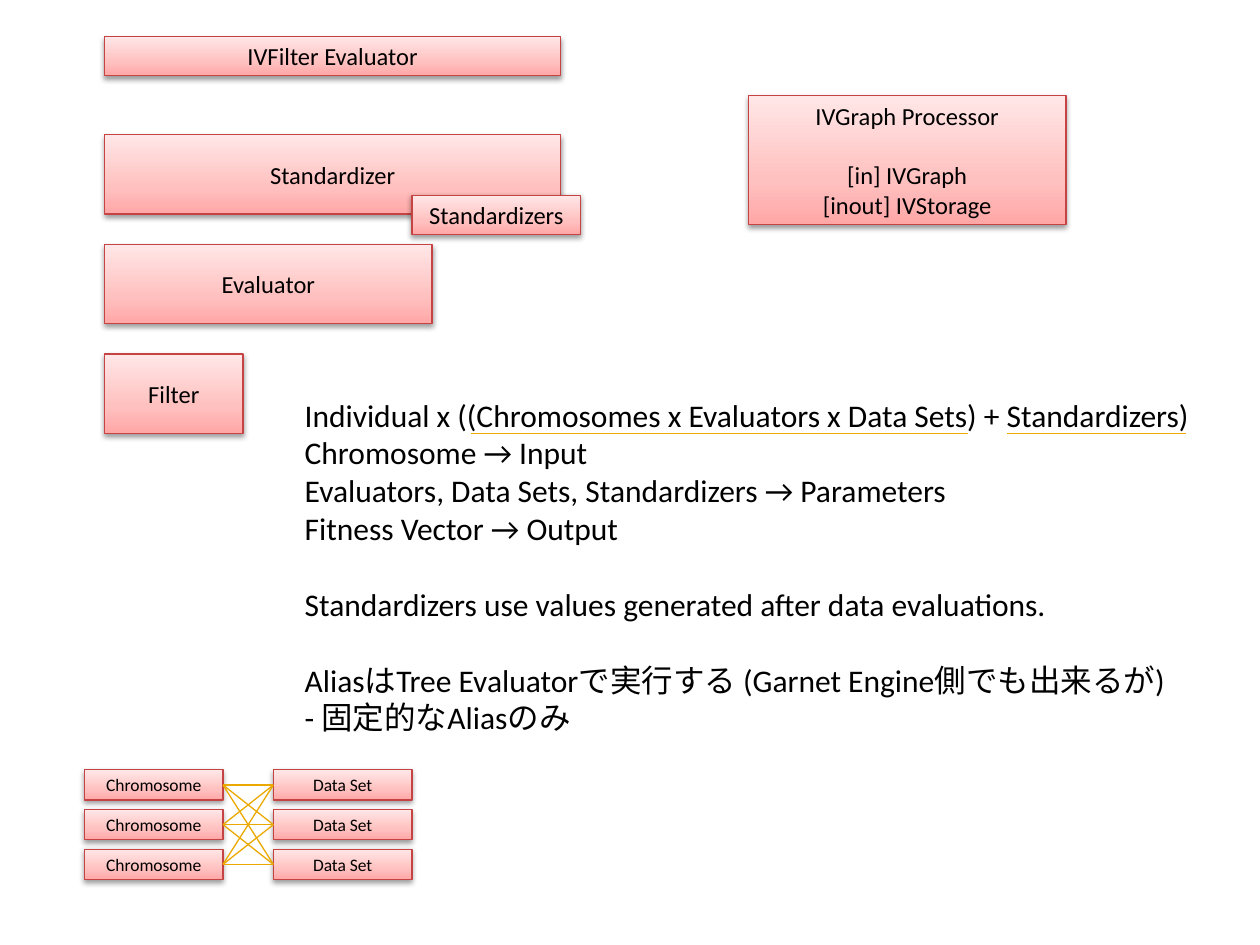
from lxml import etree
from pptx import Presentation
from pptx.dml.color import RGBColor
from pptx.enum import shapes, text
from pptx.oxml import parse_xml
from pptx.oxml.ns import nsdecls, qn
from pptx.util import Inches, Pt

FONT, BLACK, RED, GOLD = "Calibri", "000000", "C54342", "EBA900"
STOPS = [(0, "FFA7A7"), (35, "FFC1C0"), (100, "FFE7E7")]
BOXES = [
    (["IVFilter Evaluator"], 0.83, 0.29, 3.62, 0.31),
    (["Filter"], 0.83, 2.81, 1.1, 0.63),
    (["Evaluator"], 0.83, 1.94, 2.6, 0.63),
    (["Standardizer"], 0.83, 1.07, 3.62, 0.63),
    (["Standardizers"], 3.27, 1.55, 1.34, 0.31),
    (["IVGraph Processor", "[in] IVGraph", "[inout] IVStorage"], 5.94, 0.76, 2.52, 1.02),
]
COLUMNS = [("Chromosome", 0.67), ("Data Set", 2.17)]
ROWS, ROW_TOP, ROW_STEP = 3, 6.11, 0.315
NOTES = [
    "Individual x ((Chromosomes x Evaluators x Data Sets) + Standardizers)",
    "Chromosome → Input",
    "Evaluators, Data Sets, Standardizers → Parameters",
    "Fitness Vector → Output",
    "Standardizers use values generated after data evaluations.",
    "AliasはTree Evaluatorで実行する (Garnet Engine側でも出来るが)",
    "- 固定的なAliasのみ",
]
UNDERLINES = [(3.74, 7.68), (7.99, 9.41)]
UNDERLINE_Y = 3.44


def rgb(color):
    return RGBColor.from_string(color)


def write(tf, lines, size, gaps, gap, align):
    tf.text = "\n".join(lines)
    for i, p in enumerate(tf.paragraphs):
        p.alignment = align
        if i in gaps:
            p.space_before = Pt(gap)
        for r in p.runs:
            r.font.name, r.font.size = FONT, Pt(size)
            r.font.color.rgb = rgb(BLACK)


def add_box(s, lines, x, y, w, h, size=14):
    sp = s.shapes.add_shape(shapes.MSO_SHAPE.RECTANGLE, *map(Inches, (x, y, w, h)))
    stops = "".join(f'<a:gs pos="{pos * 1000}"><a:srgbClr val="{c}"/></a:gs>' for pos, c in STOPS)
    sp._element.spPr.insert(2, parse_xml(
        f'<a:gradFill {nsdecls("a")} rotWithShape="1"><a:gsLst>{stops}</a:gsLst>'
        '<a:lin ang="16200000" scaled="0"/></a:gradFill>'))
    sp.line.color.rgb, sp.line.width = rgb(RED), Pt(0.75)
    sp.shadow.inherit = False
    sp._element.spPr.find(qn("a:effectLst")).append(parse_xml(
        f'<a:outerShdw {nsdecls("a")} blurRad="{Pt(3.1)}" dist="{Pt(1.6)}" dir="5400000" rotWithShape="0">'
        f'<a:srgbClr val="{BLACK}"><a:alpha val="38000"/></a:srgbClr></a:outerShdw>'))
    sp.text_frame.vertical_anchor = text.MSO_ANCHOR.MIDDLE
    write(sp.text_frame, lines, size, {1}, 17, text.PP_ALIGN.CENTER)
    return sp


def add_line(s, x1=0, y1=0, x2=0, y2=0):
    line = s.shapes.add_connector(shapes.MSO_CONNECTOR.STRAIGHT, *map(Inches, (x1, y1, x2, y2)))
    line.line.color.rgb, line.line.width = rgb(GOLD), Pt(0.75)
    etree.SubElement(line._element.spPr, qn("a:effectLst"))
    return line


def main():
    prs = Presentation()
    prs.slide_width, prs.slide_height = Inches(10), Inches(7.5)
    s = prs.slides.add_slide(prs.slide_layouts[6])

    tb = s.shapes.add_textbox(*map(Inches, (2.32, 3.09, 7.3, 2.83)))
    tb.text_frame.word_wrap = True
    write(tb.text_frame, NOTES, 18, {4, 5}, 21.7, text.PP_ALIGN.LEFT)

    for lines, *place in BOXES:
        add_box(s, lines, *place)

    chromosomes, data_sets = [
        [add_box(s, [name], x, ROW_TOP + i * ROW_STEP, 1.1, 0.24, 10) for i in range(ROWS)]
        for name, x in COLUMNS]
    for chromosome in chromosomes:
        for data_set in data_sets:
            link = add_line(s)
            link.begin_connect(chromosome, 3)
            link.end_connect(data_set, 1)

    for x1, x2 in UNDERLINES:
        add_line(s, x1, UNDERLINE_Y, x2, UNDERLINE_Y)

    prs.save("out.pptx")


if __name__ == "__main__":
    main()
